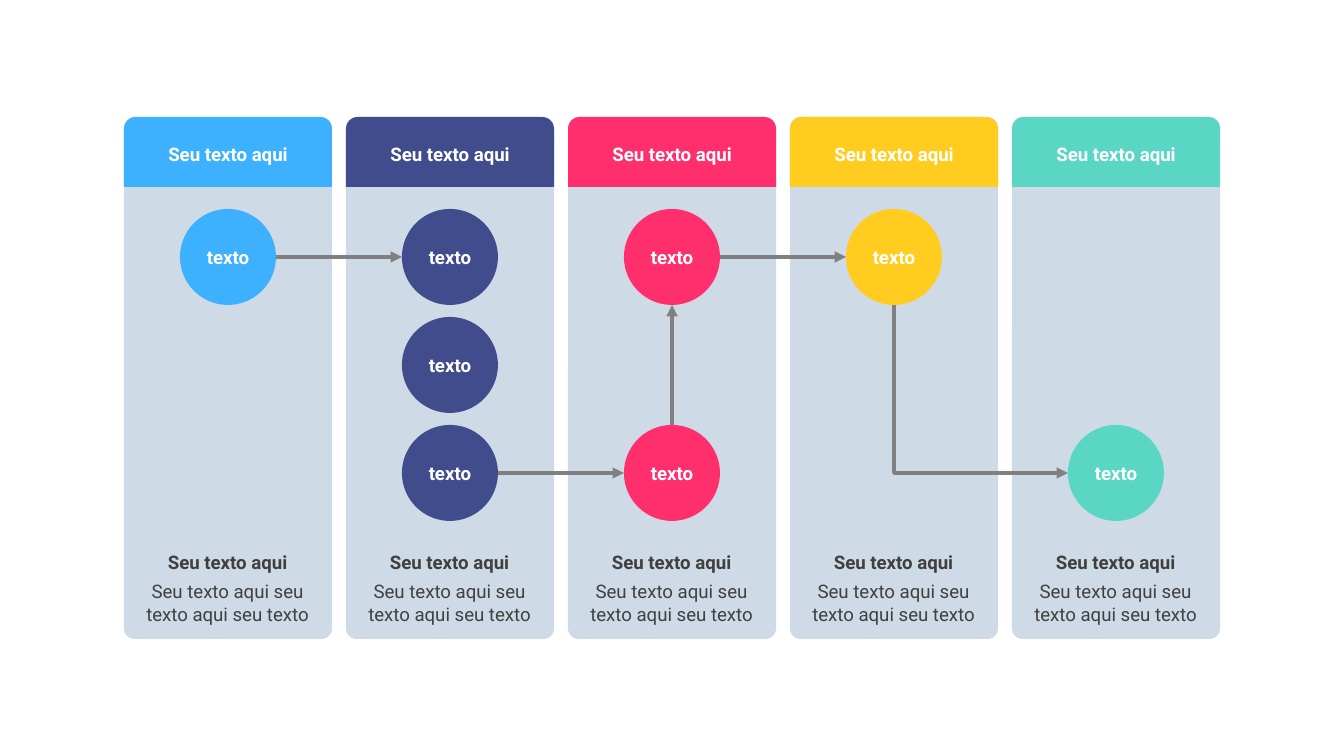
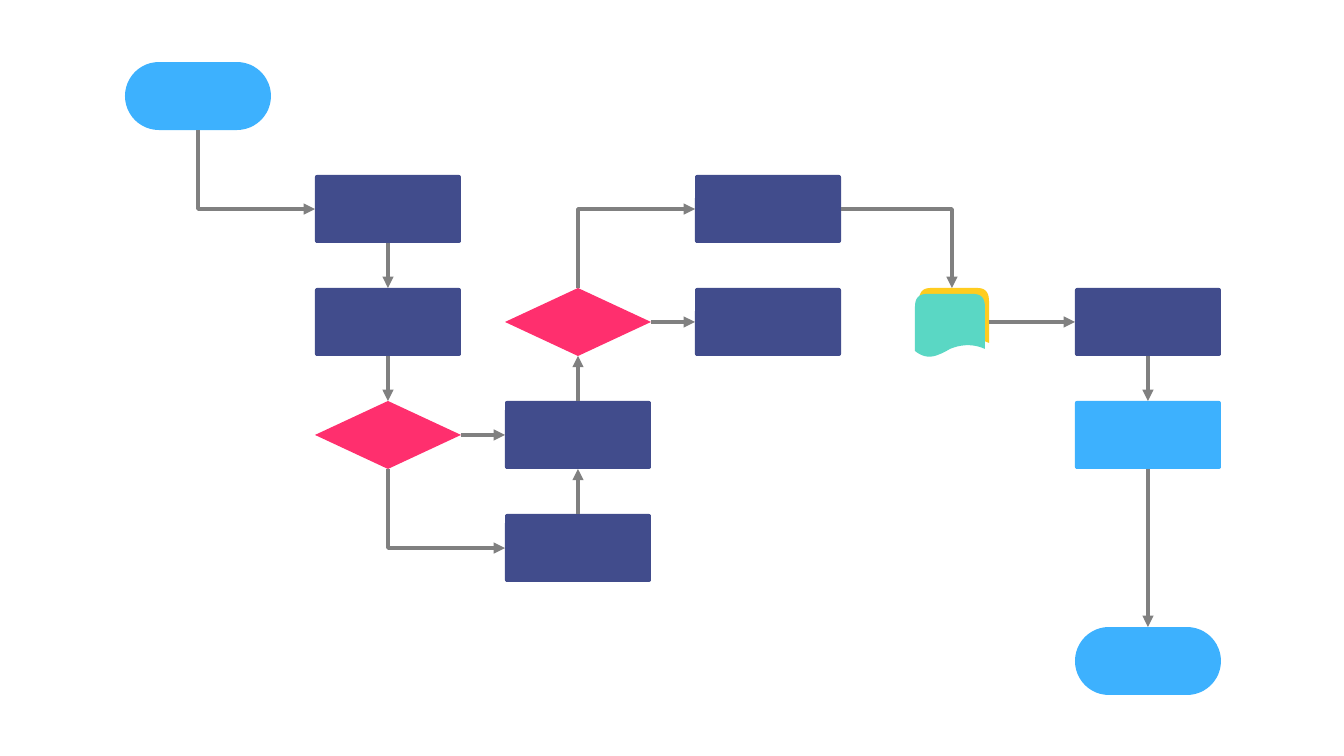
"""Build two flow slides: a five-column board and a flowchart."""
from dataclasses import dataclass
from typing import Any, Optional

from lxml.etree import SubElement as add_node
from pptx import Presentation
from pptx.dml.color import RGBColor
from pptx.enum.shapes import MSO_CONNECTOR as Wire, MSO_SHAPE as Kind
from pptx.enum.text import MSO_ANCHOR as Anchor, PP_ALIGN as Align
from pptx.oxml.ns import qn
from pptx.slide import Slide
from pptx.util import Emu, Pt

SCALE = 914400 / 134.4
FONT = "Roboto"
SKY, NAVY, PINK, GOLD, MINT = "3DB1FE", "414C8C", "FF2F6E", "FFCC1F", "5AD7C4"
PALE, GREY, INK, WHITE = "CEDBE6", "808080", "404040", "FFFFFF"
TOP, LEFT, DOWN, RIGHT = range(4)
LABEL = "Seu texto aqui"
Point = tuple[float, float]


@dataclass
class Box:
    """A placed item whose sides can be linked."""
    x: int
    y: int
    w: int
    h: int
    shape: Optional[Any] = None

    def side(self, n: int) -> Point:
        """Return the middle of a side."""
        mid, half = self.x + self.w // 2, self.y + self.h // 2
        return [(mid, self.y), (self.x, half),
                (mid, self.y + self.h), (self.x + self.w, half)][n]


@dataclass
class Node:
    """A flowchart step on the grid."""
    col: int
    row: int
    kind: Kind
    hue: str
    bend: Optional[float] = None


def px(n: float) -> Emu:
    """Turn px into EMU."""
    return Emu(round(n * SCALE))


def rgb(code: str) -> RGBColor:
    """Turn a hex string into a colour."""
    return RGBColor.from_string(code)


def paint(shape: Any, hue: str) -> None:
    """Give a shape a flat fill with no line or shadow."""
    shape.shadow.inherit = False
    shape.fill.solid()
    shape.fill.fore_color.rgb = rgb(hue)
    shape.line.fill.background()


def write(shape: Any, text: str, hue: str, bold: bool = True) -> None:
    """Set centred text in a shape."""
    frame = shape.text_frame
    frame.word_wrap = True
    frame.vertical_anchor = Anchor.MIDDLE
    frame.margin_left = frame.margin_right = px(3)
    frame.margin_top = frame.margin_bottom = px(3)
    line = frame.paragraphs[0]
    line.text = text
    line.alignment = Align.CENTER
    font = line.font
    font.name, font.size, font.bold = FONT, Pt(10), bold
    font.color.rgb = rgb(hue)


def draw(slide: Slide, kind: Kind, box: Box, hue: str,
         bend: Optional[float] = None) -> Any:
    """Draw a preset shape."""
    shape = slide.shapes.add_shape(kind, *map(px, (box.x, box.y, box.w, box.h)))
    if bend is not None:
        shape.adjustments[0] = bend
    paint(shape, hue)
    return shape


def note(slide: Slide, box: Box, text: str, bold: bool) -> None:
    """Add a dark text box."""
    area = map(px, (box.x, box.y, box.w, box.h))
    write(slide.shapes.add_textbox(*area), text, INK, bold)


def trace(slide: Slide, points: list[Point], close: bool) -> Any:
    """Draw an outline through points."""
    first, *rest = [(px(x), px(y)) for x, y in points]
    pen = slide.shapes.build_freeform(*first)
    pen.add_line_segments(rest, close=close)
    return pen.convert_to_shape()


def link(slide: Slide, a: Box, m: int, b: Box, n: int) -> None:
    """Draw an arrow, bent once if needed, from side m of a to side n of b."""
    start, end = a.side(m), b.side(n)
    if start[0] == end[0] or start[1] == end[1]:
        arrow = slide.shapes.add_connector(
            Wire.STRAIGHT, *map(px, start + end))
        if a.shape is not None:
            arrow.begin_connect(a.shape, m)
        if b.shape is not None:
            arrow.end_connect(b.shape, n)
    else:
        turn = (start[0], end[1]) if m in (TOP, DOWN) else (end[0], start[1])
        arrow = trace(slide, [start, turn, end], False)
        arrow.fill.background()
    arrow.line.color.rgb = rgb(GREY)
    arrow.line.width = Pt(2)
    props = arrow.element.spPr
    add_node(props.find(qn("a:ln")), qn("a:tailEnd"), type="triangle")
    add_node(props, qn("a:effectLst"))


def curve(a: Point, b: Point, c: Point, d: Point) -> list[Point]:
    """Sample a cubic curve."""
    steps = [i / 10 for i in range(11)]
    return [tuple((1 - t) ** 3 * p + 3 * t * (1 - t) ** 2 * q
                  + 3 * t * t * (1 - t) * r + t ** 3 * s
                  for p, q, r, s in zip(a, b, c, d)) for t in steps]


def sheet(slide: Slide, x: int, y: int, hue: str) -> None:
    """Draw a page with round top corners and a wavy foot."""
    edge = (curve((0, 13), (0, 4), (4, 0), (12, 0))
            + curve((58, 0), (66, 0), (70, 4), (70, 13))
            + curve((70, 55), (59, 50), (47, 50), (35, 55))
            + curve((35, 55), (30, 58), (26, 60), (20, 62))
            + curve((20, 62), (13, 64), (6, 62), (0, 57)))
    paint(trace(slide, [(x + i, y + j) for i, j in edge], True), hue)


def board(slide: Slide) -> None:
    """Build the five-column board."""
    lanes = [(SKY, [0]), (NAVY, [0, 1, 2]), (PINK, [0, 2]),
             (GOLD, [0]), (MINT, [2])]
    dots: dict[tuple[int, int], Box] = {}
    for col, (hue, rows) in enumerate(lanes):
        x = 124 + 222 * col
        draw(slide, Kind.ROUNDED_RECTANGLE, Box(x, 117, 208, 522), PALE, 0.05)
        head = draw(slide, Kind.ROUND_2_SAME_RECTANGLE,
                    Box(x, 117, 208, 70), hue, 0.17)
        write(head, LABEL, WHITE)
        note(slide, Box(x + 17, 548, 173, 28), LABEL, True)
        note(slide, Box(x + 10, 577, 187, 51),
             "Seu texto aqui seu texto aqui seu texto", False)
        for row in rows:
            dot = Box(x + 56, 209 + 108 * row, 96, 96)
            write(draw(slide, Kind.OVAL, dot, hue), "texto", WHITE)
            dots[col, row] = dot
    for a, m, b, n in [((0, 0), RIGHT, (1, 0), LEFT),
                       ((1, 2), RIGHT, (2, 2), LEFT),
                       ((2, 2), TOP, (2, 0), DOWN),
                       ((2, 0), RIGHT, (3, 0), LEFT),
                       ((3, 0), DOWN, (4, 2), LEFT)]:
        link(slide, dots[a], m, dots[b], n)


def chart(slide: Slide) -> None:
    """Build the flowchart."""
    block = Kind.ROUNDED_RECTANGLE
    tasks = [(1, 1), (1, 2), (2, 3), (2, 4), (3, 1), (3, 2), (5, 2)]
    nodes = [Node(c, r, block, NAVY, 0.03) for c, r in tasks]
    nodes += [Node(c, r, Kind.DIAMOND, PINK) for c, r in [(1, 3), (2, 2)]]
    nodes += [Node(c, r, block, SKY, 0.5) for c, r in [(0, 0), (5, 5)]]
    nodes.append(Node(5, 3, block, SKY, 0.03))
    steps: dict[tuple[int, int], Box] = {}
    for node in nodes:
        box = Box(125 + 190 * node.col, 62 + 113 * node.row, 146, 68)
        box.shape = draw(slide, node.kind, box, node.hue, node.bend)
        steps[node.col, node.row] = box
    page = steps[4, 2] = Box(915, 288, 74, 68)
    sheet(slide, page.x + 4, page.y, GOLD)
    sheet(slide, page.x, page.y + 6, MINT)
    for a, m, b, n in [((0, 0), DOWN, (1, 1), LEFT),
                       ((1, 1), DOWN, (1, 2), TOP),
                       ((1, 2), DOWN, (1, 3), TOP),
                       ((1, 3), DOWN, (2, 4), LEFT),
                       ((1, 3), RIGHT, (2, 3), LEFT),
                       ((2, 4), TOP, (2, 3), DOWN),
                       ((2, 3), TOP, (2, 2), DOWN),
                       ((2, 2), TOP, (3, 1), LEFT),
                       ((2, 2), RIGHT, (3, 2), LEFT),
                       ((3, 1), RIGHT, (4, 2), TOP),
                       ((4, 2), RIGHT, (5, 2), LEFT),
                       ((5, 2), DOWN, (5, 3), TOP),
                       ((5, 3), DOWN, (5, 5), TOP)]:
        link(slide, steps[a], m, steps[b], n)


def main() -> None:
    """Build and save the deck."""
    deck = Presentation()
    deck.slide_width, deck.slide_height = px(1344), px(756)
    for build in (board, chart):
        build(deck.slides.add_slide(deck.slide_layouts[6]))
    deck.save("out.pptx")


if __name__ == "__main__":
    main()
